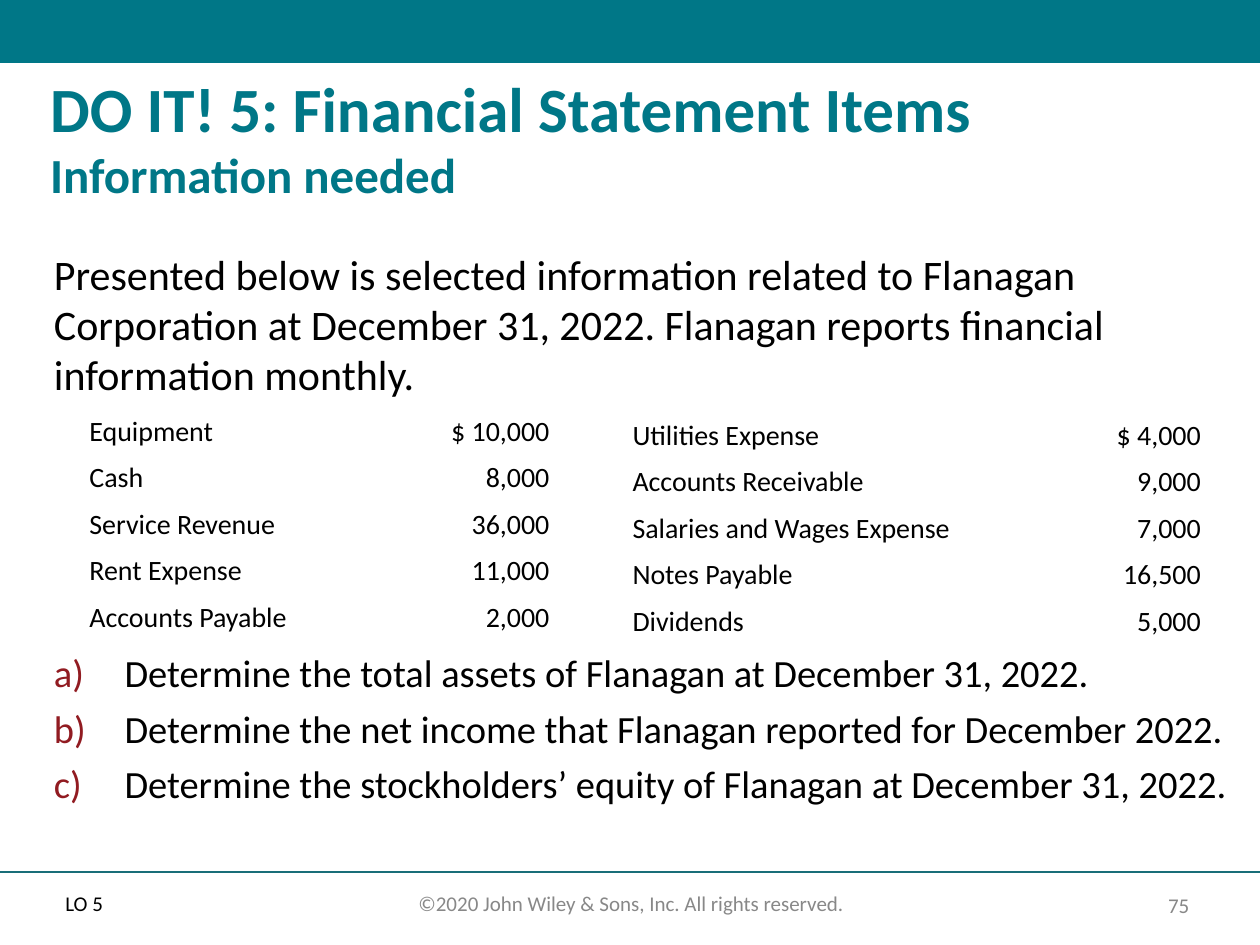
import pptx
import pptx.dml.color
import pptx.enum.shapes
import pptx.enum.text
import pptx.oxml
import pptx.oxml.ns
import pptx.util
from lxml import etree

ALIGN = pptx.enum.text.PP_ALIGN
ANCHOR = pptx.enum.text.MSO_ANCHOR
COLUMNS, ROWS = 100, 75
TEAL, RULE, RED, BLACK, GREY, WHITE = "007787", "196E78", "911B21", "000000", "888888", "FFFFFF"


def color(hex_text):
    """Turn a hex string into an RGB colour."""
    return pptx.dml.color.RGBColor.from_string(hex_text)


class SlideBuilder:
    """Hold the style and the current slide, placing elements on a grid."""

    font = "Calibri"

    def __init__(self, deck):
        """Add a blank slide and measure the grid."""
        self.slide = deck.slides.add_slide(deck.slide_layouts[6])
        self.column = deck.slide_width / COLUMNS
        self.row = deck.slide_height / ROWS

    def place(self, left, top, width, height):
        """Convert a grid box to slide lengths."""
        return (round(left * self.column), round(top * self.row),
                round(width * self.column), round(height * self.row))

    def style(self, font, size, ink, bold=False):
        """Apply the typeface, size, colour and weight."""
        font.name, font.size, font.bold = self.font, pptx.util.Pt(size), bold
        font.color.rgb = color(ink)

    def band(self, box, fill):
        """Draw a plain filled band."""
        band = self.slide.shapes.add_shape(pptx.enum.shapes.MSO_SHAPE.RECTANGLE, *self.place(*box))
        band.shadow.inherit = False
        band.fill.solid()
        band.fill.fore_color.rgb = color(fill)
        band.line.fill.background()

    def rule(self, top, ink):
        """Draw a thin line across the slide."""
        left, y, right, _ = self.place(0, top, COLUMNS, 0)
        rule = self.slide.shapes.add_connector(
            pptx.enum.shapes.MSO_CONNECTOR.STRAIGHT, left, y, right, y)
        rule.line.color.rgb = color(ink)
        rule.line.width = pptx.util.Pt(1)
        etree.SubElement(rule._element.spPr, pptx.oxml.ns.qn("a:effectLst"))

    def frame(self, box, anchor=ANCHOR.TOP):
        """Add an empty wrapping text frame."""
        frame = self.slide.shapes.add_textbox(*self.place(*box)).text_frame
        frame.word_wrap = True
        frame.vertical_anchor = anchor
        return frame

    def text(self, box, words, size, ink, align=ALIGN.LEFT, anchor=ANCHOR.TOP):
        """Write one paragraph."""
        paragraph = self.frame(box, anchor).paragraphs[0]
        paragraph.text, paragraph.alignment = words, align
        self.style(paragraph.font, size, ink)

    def title(self, box, heading, subheading, ink):
        """Write a heading with a smaller second line."""
        paragraph = self.frame(box).paragraphs[0]
        for words, size in ((heading, 36), (subheading, 28)):
            if paragraph.runs:
                paragraph.add_line_break()
            run = paragraph.add_run()
            run.text = words
            self.style(run.font, size, ink, bold=True)

    def questions(self, box, items, size, ink, letter_ink):
        """Write a lettered list with a hanging indent."""
        frame = self.frame(box)
        indent = pptx.util.Inches(0.56)
        for index, words in enumerate(items):
            paragraph = frame.add_paragraph() if index else frame.paragraphs[0]
            paragraph.text = words
            if index:
                paragraph.space_before = pptx.util.Pt(5.5)
            properties = paragraph._p.get_or_add_pPr()
            properties.set("marL", str(indent))
            properties.set("indent", str(-indent))
            bullet_color = etree.SubElement(properties, pptx.oxml.ns.qn("a:buClr"))
            etree.SubElement(bullet_color, pptx.oxml.ns.qn("a:srgbClr"), val=letter_ink)
            etree.SubElement(properties, pptx.oxml.ns.qn("a:buAutoNum"), type="alphaLcParenR")
            self.style(paragraph.font, size, ink)

    def accounts(self, left, top, widths, entries, margin):
        """Add a table of account names and amounts."""
        box = self.place(left, top, sum(widths), 3.7 * len(entries))
        table = self.slide.shapes.add_table(len(entries), len(widths), *box).table
        table.first_row = table.horz_banding = False
        for column, width in zip(table.columns, widths):
            column.width = round(width * self.column)
        for row, entry in enumerate(entries):
            for column, words in enumerate(entry):
                cell = table.cell(row, column)
                cell.fill.solid()
                cell.fill.fore_color.rgb = color(WHITE)
                cell.margin_left = cell.margin_right = pptx.util.Inches(margin)
                paragraph = cell.text_frame.paragraphs[0]
                paragraph.text = words
                paragraph.alignment = ALIGN.RIGHT if column else ALIGN.LEFT
                self.style(paragraph.font, 16, BLACK)


def main():
    """Build the slide and save it."""
    deck = pptx.Presentation()
    deck.slide_width, deck.slide_height = pptx.util.Inches(10), pptx.util.Inches(7.5)
    page = SlideBuilder(deck)

    page.band((0, 0, COLUMNS, 5), TEAL)
    page.rule(69.2, RULE)
    page.text((90.5, 70.4, 6.1, 2.8), "75", 12, GREY, ALIGN.CENTER, ANCHOR.MIDDLE)
    page.text((30.4, 70.2, 39.4, 3), "©2020 John Wiley & Sons, Inc. All rights reserved.",
              12, GREY, ALIGN.CENTER)
    page.title((3, 5, 93.4, 10.7), "DO IT! 5: Financial Statement Items",
               "Information needed", TEAL)
    page.text((3.3, 19.2, 93.3, 12.1),
              "Presented below is selected information related to Flanagan Corporation at "
              "December 31, 2022. Flanagan reports financial information monthly.", 24, BLACK)
    page.accounts(6.4, 32.4, (25.3, 12.6), (
        ("Equipment", "$ 10,000"),
        ("Cash", "8,000"),
        ("Service Revenue", "36,000"),
        ("Rent Expense", "11,000"),
        ("Accounts Payable", "2,000"),
    ), 0.07)
    page.accounts(49.7, 32.7, (37.3, 8.8), (
        ("Utilities Expense", "$ 4,000"),
        ("Accounts Receivable", "9,000"),
        ("Salaries and Wages Expense", "7,000"),
        ("Notes Payable", "16,500"),
        ("Dividends", "5,000"),
    ), 0.05)
    page.questions((3.3, 51, 95.8, 17.4), (
        "Determine the total assets of Flanagan at December 31, 2022.",
        "Determine the net income that Flanagan reported for December 2022.",
        "Determine the stockholders’ equity of Flanagan at December 31, 2022.",
    ), 22, BLACK, RED)
    page.text((4.2, 70.2, 6.1, 3), "LO 5", 12, BLACK)

    deck.save("out.pptx")


if __name__ == "__main__":
    main()
